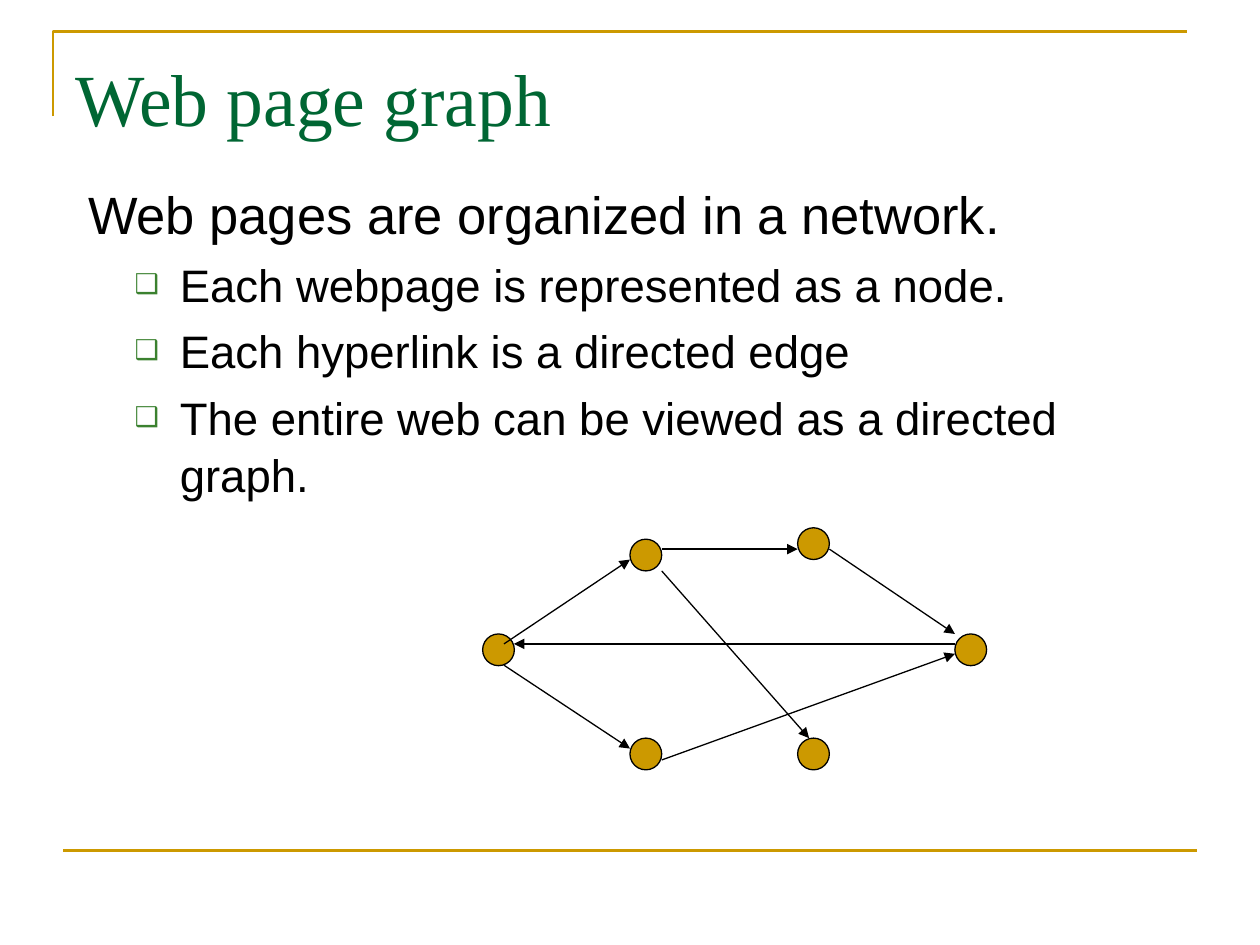
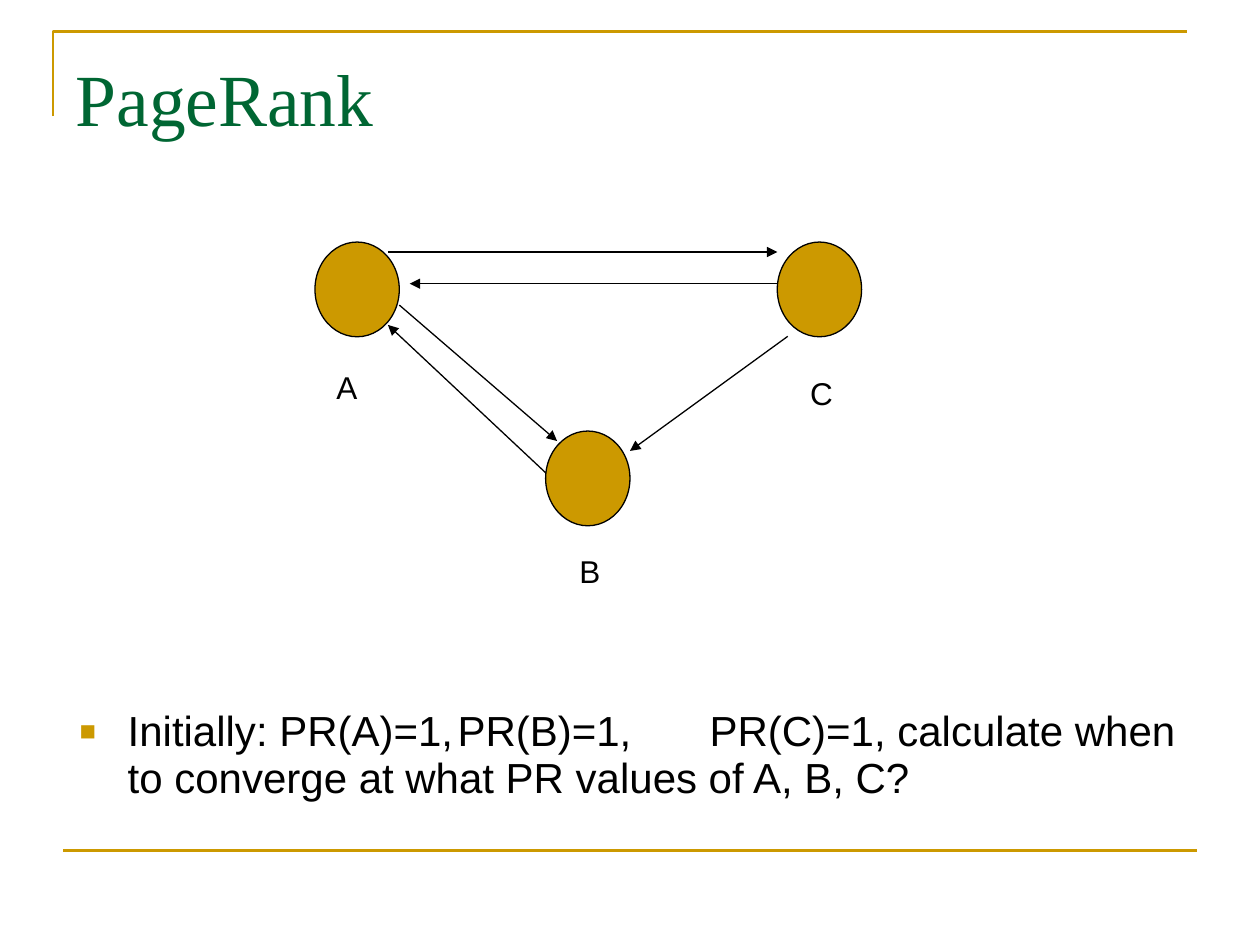
from typing import NamedTuple

from lxml import etree
from pptx import Presentation
from pptx.dml.color import RGBColor
from pptx.enum import shapes, text
from pptx.oxml import ns
from pptx.util import Cm, Pt

GOLD = RGBColor(0xCC, 0x99, 0x00)
GREEN = RGBColor(0x00, 0x66, 0x33)
LEAF = RGBColor(0x3B, 0x81, 0x2F)
BLACK = RGBColor(0, 0, 0)
SERIF = "Times New Roman"
SANS = "Arial"


class Box(NamedTuple):
    left: float
    top: float
    width: float
    height: float


class Edge(NamedTuple):
    x1: float
    y1: float
    x2: float
    y2: float


class Mark(NamedTuple):
    char: str
    color: RGBColor
    size: int
    left: float
    hang: float


class Item(NamedTuple):
    words: str
    size: int
    level: int = 0
    mark: Mark | None = None
    space: float = 1.05


class Label(NamedTuple):
    words: str
    box: Box


HOLLOW = Mark("❑", LEAF, 60, 1.85, 0.91)
SOLID = Mark("■", GOLD, 65, 0.97, 0.97)

TITLE = Box(1.27, 0.76, 22.86, 3.18)
RULE = Edge(1.27, 17.15, 24.13, 17.15)
CORNER = [(1.07, 2.34), (1.07, 0.64), (23.93, 0.64)]

WEB_BODY = Box(1.52, 3.48, 22.61, 5.26)
WEB_ITEMS = [
    Item("Web pages are organized in a network.", 30),
    Item("Each webpage is represented as a node.", 26, 1, HOLLOW),
    Item("Each hyperlink is a directed edge", 26, 1, HOLLOW),
    Item("The entire web can be viewed as a directed graph.", 26, 1, HOLLOW),
]
DOT = 0.64
WEB_NODES = [
    Box(x, y, DOT, DOT)
    for x, y in [(9.73, 12.78), (16.08, 14.88), (16.08, 10.64),
                 (12.7, 14.88), (12.7, 10.87), (19.25, 12.78)]
]
WEB_EDGES = [
    Edge(10.16, 12.98, 12.7, 11.28),
    Edge(10.16, 13.41, 12.7, 15.09),
    Edge(13.34, 11.51, 16.31, 14.88),
    Edge(13.34, 11.07, 16.08, 11.07),
    Edge(16.72, 11.07, 19.25, 12.78),
    Edge(19.25, 12.98, 10.36, 12.98),
    Edge(13.34, 15.32, 19.25, 13.18),
]

RANK_BODY = Box(1.35, 14.17, 22.86, 1.91)
RANK_ITEMS = [
    Item("Initially: PR(A)=1,\tPR(B)=1,\tPR(C)=1, calculate when to converge "
         "at what PR values of A, B, C?", 24, 0, SOLID, 0.93),
]
RANK_NODES = [
    Box(x, y, 1.7, 1.91) for x, y in [(6.35, 4.88), (11, 8.69), (15.67, 4.88)]
]
RANK_LABELS = [
    Label("A", Box(6.53, 7.29, 0.94, 1.02)),
    Label("B", Box(11.43, 11, 0.94, 1.02)),
    Label("C", Box(16.08, 7.42, 0.97, 1.02)),
]
RANK_EDGES = [
    Edge(8.05, 6.15, 11.23, 8.89),
    Edge(11, 9.53, 7.82, 6.55),
    Edge(15.67, 5.72, 8.26, 5.72),
    Edge(15.88, 6.78, 12.7, 9.09),
    Edge(7.82, 5.08, 15.67, 5.08),
]


def place(shape, box: Box) -> None:
    shape.left, shape.top, shape.width, shape.height = map(Cm, box)


def style(para, name: str, size: float, color: RGBColor) -> None:
    para.font.name = name
    para.font.size = Pt(size)
    para.font.color.rgb = color


def add_tag(root, name: str, **attrs: str):
    return etree.SubElement(root, ns.qn(name), attrs)


def draw_line(slide, edge: Edge, color: RGBColor, width: float, arrow: bool = False) -> None:
    line = slide.shapes.add_connector(shapes.MSO_CONNECTOR.STRAIGHT, *map(Cm, edge))
    line.line.color.rgb = color
    line.line.width = Pt(width)
    if arrow:
        add_tag(line.line._get_or_add_ln(), "a:tailEnd", type="triangle")
    add_tag(line._element.spPr, "a:effectLst")


def draw_frame(slide) -> None:
    points = [(Cm(x), Cm(y)) for x, y in CORNER]
    path = slide.shapes.build_freeform(*points[0])
    path.add_line_segments(points[1:], close=False)
    corner = path.convert_to_shape()
    corner.fill.background()
    corner.line.color.rgb = GOLD
    corner.line.width = Pt(1.5)
    corner.shadow.inherit = False
    draw_line(slide, RULE, GOLD, 1.5)


def set_mark(para, mark: Mark | None) -> None:
    props = para._p.get_or_add_pPr()
    props.set("marL", str(Cm(mark.left if mark else 0)))
    props.set("indent", str(-Cm(mark.hang if mark else 0)))
    props.set("defTabSz", str(Cm(2.54)))
    if mark is None:
        add_tag(props, "a:buNone")
        return
    add_tag(add_tag(props, "a:buClr"), "a:srgbClr", val=str(mark.color))
    add_tag(props, "a:buSzPct", val=str(mark.size * 1000))
    add_tag(props, "a:buFont", typeface=SANS)
    add_tag(props, "a:buChar", char=mark.char)


def fill_title(slide, words: str) -> None:
    title = slide.shapes.title
    place(title, TITLE)
    frame = title.text_frame
    frame.text = words
    frame.auto_size = text.MSO_AUTO_SIZE.NONE
    frame.vertical_anchor = text.MSO_ANCHOR.TOP
    frame.margin_top = Cm(0.3)
    para = frame.paragraphs[0]
    para.alignment = text.PP_ALIGN.LEFT
    style(para, SERIF, 42, GREEN)


def fill_body(slide, box: Box, items: list[Item]) -> None:
    body = slide.placeholders[1]
    place(body, box)
    frame = body.text_frame
    frame.text = "\n".join(item.words for item in items)
    frame.auto_size = text.MSO_AUTO_SIZE.NONE
    for para, item in zip(frame.paragraphs, items):
        para.level = item.level
        set_mark(para, item.mark)
        para.line_spacing = item.space
        style(para, SANS, item.size, BLACK)


def draw_node(slide, box: Box) -> None:
    node = slide.shapes.add_shape(shapes.MSO_SHAPE.OVAL, *map(Cm, box))
    node.shadow.inherit = False
    node.fill.solid()
    node.fill.fore_color.rgb = GOLD
    node.line.color.rgb = BLACK
    node.line.width = Pt(0.75)


def draw_label(slide, label: Label) -> None:
    frame = slide.shapes.add_textbox(*map(Cm, label.box)).text_frame
    frame.word_wrap = False
    frame.auto_size = text.MSO_AUTO_SIZE.SHAPE_TO_FIT_TEXT
    frame.text = label.words
    style(frame.paragraphs[0], SANS, 18, BLACK)


def add_page(deck, title: str, box: Box, items: list[Item],
             nodes: list[Box], edges: list[Edge], labels: list[Label]) -> None:
    slide = deck.slides.add_slide(deck.slide_layouts[1])
    draw_frame(slide)
    fill_title(slide, title)
    fill_body(slide, box, items)
    for node in nodes:
        draw_node(slide, node)
    for label in labels:
        draw_label(slide, label)
    for edge in edges:
        draw_line(slide, edge, BLACK, 0.75, arrow=True)


def main() -> None:
    deck = Presentation()
    deck.slide_width, deck.slide_height = Cm(25.4), Cm(19.05)
    add_page(deck, "Web page graph", WEB_BODY, WEB_ITEMS, WEB_NODES, WEB_EDGES, [])
    add_page(deck, "PageRank", RANK_BODY, RANK_ITEMS, RANK_NODES, RANK_EDGES, RANK_LABELS)
    deck.save("out.pptx")


if __name__ == "__main__":
    main()
